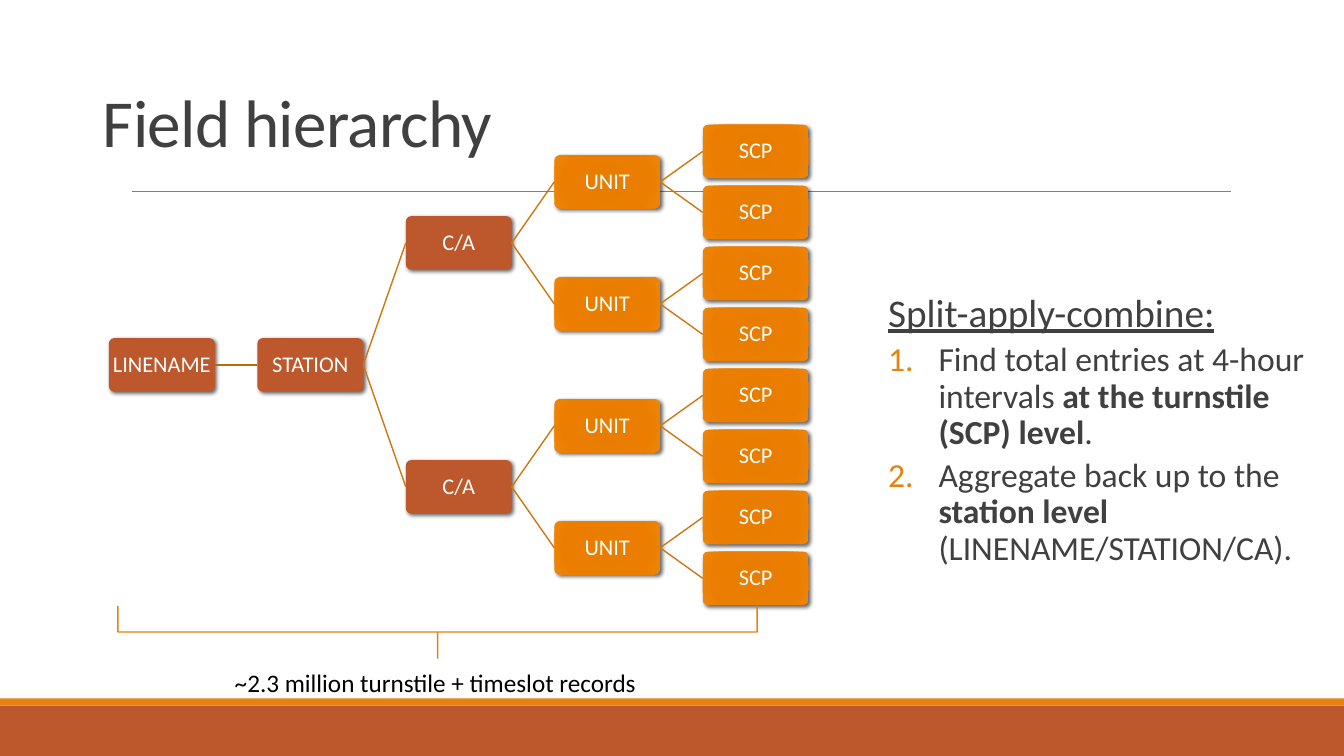
from lxml import etree
from pptx import Presentation
from pptx import util as u
from pptx.dml.color import RGBColor
from pptx.enum import shapes, text
from pptx.oxml import parse_xml
from pptx.oxml.ns import nsdecls, qn

FONT = "Calibri"
RUST, ORANGE, BRANCH, INK = "BD582C", "E48312", "CF7710", "404040"
GLOW = [(0, "E57B00"), (34, "E87D00"), (70, "EB7E00"), (100, "EF8407")]
LEVELS = [("LINENAME", 1), ("STATION", 1), ("C/A", 2), ("UNIT", 4), ("SCP", 8)]
STEPS = [
    [("Find total entries at 4-hour intervals ", False),
     ("at the turnstile (SCP) level", True), (".", False)],
    [("Aggregate back up to the ", False), ("station level ", True),
     ("(LINENAME/STATION/CA).", False)],
]


def rgb(value):
    return RGBColor.from_string(value)


def add_span(para, words, size, color, bold=False, underline=False):
    span = para.add_run()
    span.text = words
    font = span.font
    font.name, font.size, font.color.rgb = FONT, u.Pt(size), rgb(color)
    font.bold, font.underline = bold, underline
    return span


def add_block(page, kind, left, top, width, height, fill=None):
    block = page.shapes.add_shape(kind, u.Inches(left), u.Inches(top),
                                  u.Inches(width), u.Inches(height))
    block.shadow.inherit = False
    if fill:
        block.fill.solid()
        block.fill.fore_color.rgb = rgb(fill)
        block.line.fill.background()
    else:
        block.fill.background()
    return block


def add_line(page, start, end, color, weight):
    line = page.shapes.add_connector(shapes.MSO_CONNECTOR.STRAIGHT,
                                     *[u.Inches(v) for v in (*start, *end)])
    line.line.color.rgb, line.line.width = rgb(color), u.Pt(weight)
    etree.SubElement(line._element.spPr, qn("a:effectLst"))
    return line


def add_glow(node):
    """Replace the solid fill with a radial orange gradient."""
    stops = "".join(f'<a:gs pos="{pos * 1000}"><a:srgbClr val="{color}"/></a:gs>'
                    for pos, color in GLOW)
    gradient = parse_xml(
        f'<a:gradFill {nsdecls("a")} rotWithShape="1"><a:gsLst>{stops}</a:gsLst>'
        '<a:path path="circle"><a:fillToRect l="100000" t="100000" '
        'r="100000" b="100000"/></a:path></a:gradFill>')
    props = node._element.spPr
    props.replace(props.find(qn("a:solidFill")), gradient)


def add_drop_shadow(node):
    effects = node._element.spPr.find(qn("a:effectLst"))
    effects.append(parse_xml(
        f'<a:outerShdw {nsdecls("a")} blurRad="{u.Pt(3)}" dist="{u.Pt(2)}" '
        'dir="2700000" algn="ctr" rotWithShape="0"><a:srgbClr val="000000">'
        '<a:alpha val="60000"/></a:srgbClr></a:outerShdw>'))


def add_node(page, label, left, top, width, height, glowing):
    node = add_block(page, shapes.MSO_SHAPE.ROUNDED_RECTANGLE,
                     left, top, width, height, RUST)
    node.adjustments[0] = 0.1
    if glowing:
        add_glow(node)
    add_drop_shadow(node)
    frame = node.text_frame
    frame.word_wrap = True
    frame.margin_left = frame.margin_right = u.Inches(0.02)
    frame.margin_top = frame.margin_bottom = u.Inches(0.02)
    frame.vertical_anchor = text.MSO_ANCHOR.MIDDLE
    para = frame.paragraphs[0]
    para.alignment, para.line_spacing = text.PP_ALIGN.CENTER, 0.9
    add_span(para, label, 16, "FFFFFF")
    return node


def add_hierarchy(page, left, top, width, height):
    """Draw the tree; each level shares the height evenly among its nodes."""
    node_width, node_height = 1.05, 0.53
    step = (width - node_width) / (len(LEVELS) - 1)
    parents = []
    for depth, (label, count) in enumerate(LEVELS):
        slot = height / count
        nodes = [add_node(page, label, left + depth * step,
                          top + (i + 0.5) * slot - node_height / 2,
                          node_width, node_height, label in ("UNIT", "SCP"))
                 for i in range(count)]
        for i, node in enumerate(nodes):
            if parents:
                color = "B7690E" if depth == 1 else BRANCH
                branch = add_line(page, (0, 0), (1, 1), color, 1)
                branch.begin_connect(parents[i * len(parents) // count], 3)
                branch.end_connect(node, 1)
        parents = nodes


def add_frame(page):
    """Draw the footer bands and the rule under the title."""
    rectangle = shapes.MSO_SHAPE.RECTANGLE
    add_block(page, rectangle, 0, 7, 13.33, 0.5, RUST)
    add_block(page, rectangle, 0, 6.93, 13.33, 0.07, ORANGE)
    add_line(page, (1.31, 1.9), (12.21, 1.9), "808080", 0.5)


def add_title(page, left, top, width, height):
    title = page.shapes.title
    title.left, title.top = u.Inches(left), u.Inches(top)
    title.width, title.height = u.Inches(width), u.Inches(height)
    frame = title.text_frame
    frame.auto_size = text.MSO_AUTO_SIZE.NONE
    frame.vertical_anchor = text.MSO_ANCHOR.BOTTOM
    para = frame.paragraphs[0]
    para.alignment, para.line_spacing = text.PP_ALIGN.LEFT, 0.85
    span = add_span(para, "Field hierarchy", 48, INK)
    span._r.get_or_add_rPr().set("spc", "-50")


def number_para(para):
    props = para._p.get_or_add_pPr()
    props.set("marL", str(u.Inches(1)))
    props.set("indent", str(u.Inches(-0.5)))
    color = etree.SubElement(props, qn("a:buClr"))
    etree.SubElement(color, qn("a:srgbClr"), val=ORANGE)
    etree.SubElement(props, qn("a:buFont"), typeface="+mj-lt")
    etree.SubElement(props, qn("a:buAutoNum"), type="arabicPeriod")


def add_steps(page, left, top, width, height):
    box = page.shapes.add_textbox(u.Inches(left), u.Inches(top),
                                  u.Inches(width), u.Inches(height))
    frame = box.text_frame
    frame.word_wrap = True
    frame.vertical_anchor = text.MSO_ANCHOR.MIDDLE
    heading = frame.paragraphs[0]
    heading._p.get_or_add_pPr().set("marL", str(u.Inches(0.5)))
    heading.line_spacing = 0.9
    add_span(heading, "Split-apply-combine:", 28, INK, underline=True)
    for step in STEPS:
        para = frame.add_paragraph()
        number_para(para)
        para.line_spacing, para.space_before = 0.9, u.Pt(5)
        for words, bold in step:
            add_span(para, words, 24, INK, bold)


def add_total(page, left, top, width, height):
    """Draw a bracket under the tree with the record count below it."""
    brace = add_block(page, shapes.MSO_SHAPE.RIGHT_BRACE,
                      left + (width - height) / 2, top + (height - width) / 2,
                      height, width)
    brace.rotation = 90
    brace.adjustments[0], brace.adjustments[1] = 0, 0.5
    brace.line.color.rgb, brace.line.width = rgb(ORANGE), u.Pt(1)
    box = page.shapes.add_textbox(u.Inches(left + 1.06), u.Inches(top + height + 0.04),
                                  u.Inches(4.23), u.Inches(0.4))
    box.text_frame.word_wrap = False
    add_span(box.text_frame.paragraphs[0],
             "~2.3 million turnstile + timeslot records", 18, "000000")


def main():
    deck = Presentation()
    deck.slide_width, deck.slide_height = u.Inches(13.33), u.Inches(7.5)
    page = deck.slides.add_slide(deck.slide_layouts[5])
    add_frame(page)
    add_title(page, 0.92, 0.2, 11.5, 1.45)
    add_hierarchy(page, 1.08, 1.2, 6.94, 4.84)
    add_steps(page, 8.21, 1.89, 4.95, 4.76)
    add_total(page, 1.17, 6.01, 6.34, 0.52)
    deck.save("out.pptx")


if __name__ == "__main__":
    main()
